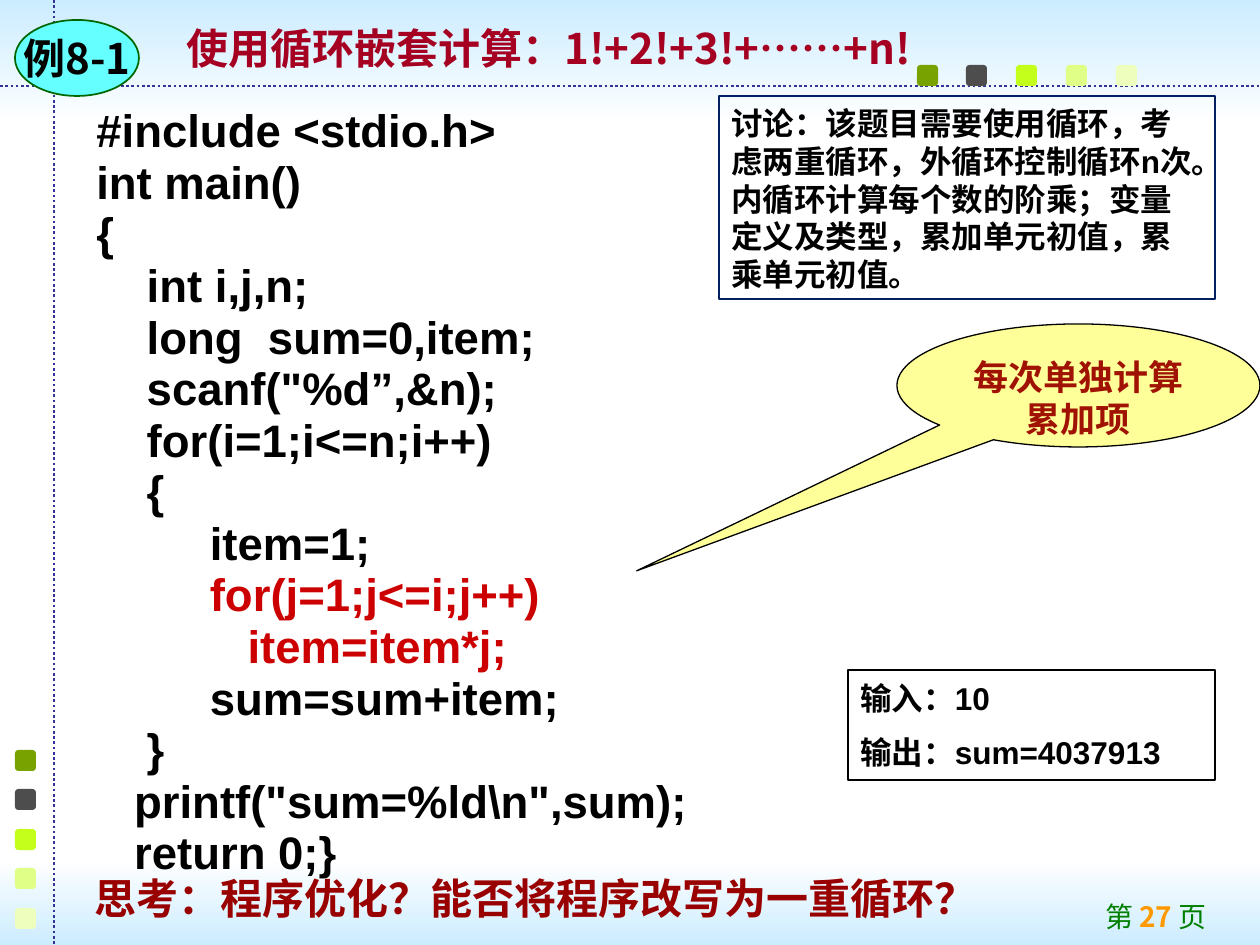
from lxml import etree
from pptx import Presentation
from pptx.dml.color import RGBColor
from pptx.enum.dml import MSO_LINE
from pptx.enum.shapes import MSO_CONNECTOR, MSO_SHAPE
from pptx.enum.text import MSO_ANCHOR, PP_ALIGN
from pptx.oxml.ns import qn
from pptx.util import Emu, Pt

CJK_FONT = "Noto Sans CJK SC"
SQUARE_COLORS = ["78A200", "4D4D4D", "C3FF1B", "E0FF87", "EEFFBD"]
RED = "CC0000"
CODE = [
    ("#include <stdio.h>", None),
    ("int main()", None),
    ("{", None),
    ("    int i,j,n;", None),
    ("    long  sum=0,item;", None),
    ('    scanf("%d”,&n);', None),
    ("    for(i=1;i<=n;i++)", None),
    ("    {", None),
    ("         item=1;", None),
    ("         for(j=1;j<=i;j++)", RED),
    ("            item=item*j;", RED),
    ("         sum=sum+item;", None),
    ("    }", None),
    ('   printf("sum=%ld\\n",sum);', None),
    ("   return 0;}", None),
]


def px(value):
    return Emu(round(value * 914400 / 126))


def color(value):
    return RGBColor.from_string(value)


def set_all(target, values):
    for name, value in values.items():
        setattr(target, name, value)


class SlideBuilder:
    def __init__(self, slide):
        self.slide = slide

    def shape(self, kind, box, fill=None, line=None, width=1):
        shape = self.slide.shapes.add_shape(kind, *map(px, box))
        shape.shadow.inherit = False
        if fill:
            shape.fill.solid()
            shape.fill.fore_color.rgb = color(fill)
        else:
            shape.fill.background()
        if line:
            shape.line.color.rgb = color(line)
            shape.line.width = Pt(width)
        else:
            shape.line.fill.background()
        return shape

    def band(self, box, top, bottom):
        shape = self.shape(MSO_SHAPE.RECTANGLE, box)
        shape.fill.gradient()
        shape.fill.gradient_angle = 270
        for stop, value in zip(shape.fill.gradient_stops, (top, bottom)):
            stop.color.rgb = color(value)

    def dotted_line(self, *ends):
        line = self.slide.shapes.add_connector(MSO_CONNECTOR.STRAIGHT, *map(px, ends))
        set_all(line.line, {"width": Pt(1.5), "dash_style": MSO_LINE.ROUND_DOT})
        line.line.color.rgb = color("333399")
        etree.SubElement(line._element.spPr, qn("a:effectLst"))

    def text_box(self, box, paragraphs, **style):
        shape = self.slide.shapes.add_textbox(*map(px, box))
        self.text(shape, paragraphs, **style)

    def text(self, shape, paragraphs, size, ink="000000", font="Arial", bold=True,
             align=PP_ALIGN.LEFT, spacing=None, before=0, anchor=MSO_ANCHOR.TOP,
             wrap=True, inset_top=6):
        """Fill a shape; each paragraph is a list of (text, format values) runs."""
        frame = shape.text_frame
        set_all(frame, {"word_wrap": wrap, "vertical_anchor": anchor,
                        "margin_top": px(inset_top)})
        for index, runs in enumerate(paragraphs):
            paragraph = frame.paragraphs[0] if index == 0 else frame.add_paragraph()
            set_all(paragraph, {"alignment": align, "line_spacing": spacing,
                                "space_before": Pt(before if index else 0)})
            for content, changes in runs:
                values = {"ink": ink, "bold": bold, **changes}
                run = paragraph.add_run()
                run.text = content
                set_all(run.font, {"name": font, "size": Pt(size),
                                   "bold": values["bold"]})
                run.font.color.rgb = color(values["ink"])
                east_asian = etree.SubElement(run.font._element, qn("a:ea"))
                east_asian.set("typeface", CJK_FONT)


def plain(*lines):
    return [[(line, {})] for line in lines]


def add_background(builder):
    builder.band((0, 0, 1260, 125), "CCECFF", "FFFFFF")
    builder.band((0, 859, 1260, 86), "FFFFFF", "CCECFF")
    builder.dotted_line(0, 86, 1260, 86)
    builder.dotted_line(54, 0, 54, 945)
    for index, fill in enumerate(SQUARE_COLORS):
        for left, top in ((917 + 199 * index // 4, 65), (15, 750 + 158 * index // 4)):
            builder.shape(MSO_SHAPE.ROUNDED_RECTANGLE, (left, top, 21, 21), fill)


def add_content(builder):
    builder.text_box((888, 894, 331, 45),
                     [[("第 ", {}), ("27 ", {"ink": "FF9900", "bold": True}), ("页", {})]],
                     size=16, ink="008000", font=CJK_FONT, bold=False,
                     align=PP_ALIGN.RIGHT)
    builder.text_box((174, 0, 843, 96), plain("使用循环嵌套计算：1!+2!+3!+……+n!"),
                     size=24, ink="A50021", font=CJK_FONT, anchor=MSO_ANCHOR.MIDDLE)
    builder.text_box((84, 109, 1072, 770),
                     [[(line, {"ink": ink} if ink else {})] for line, ink in CODE],
                     size=26, spacing=0.75, before=6.1)

    badge = builder.shape(MSO_SHAPE.OVAL, (15, 20, 124, 76), "66FFFF", "006600")
    builder.text(badge, plain("例8-1"), size=24, font=CJK_FONT,
                 align=PP_ALIGN.CENTER, anchor=MSO_ANCHOR.MIDDLE, wrap=False)

    builder.text_box((59, 867, 953, 63), plain("思考：程序优化？能否将程序改写为一重循环？"),
                     size=24, ink="990000", align=PP_ALIGN.CENTER, spacing=Pt(28.8))

    callout = builder.shape(MSO_SHAPE.OVAL_CALLOUT, (897, 324, 363, 123),
                            "FFFF99", "000000", 0.75)
    callout.adjustments[0] = -1.217
    callout.adjustments[1] = 1.507
    builder.text(callout, plain("每次单独计算累加项"), size=20, ink="A01304",
                 font="Times New Roman", align=PP_ALIGN.CENTER, spacing=Pt(24),
                 inset_top=14)

    result = builder.shape(MSO_SHAPE.RECTANGLE, (848, 670, 367, 110), line="000000")
    builder.text(result, plain("输入：10", "输出：sum=4037913"), size=18,
                 spacing=Pt(21.6), before=9, inset_top=9)

    discussion = builder.shape(MSO_SHAPE.RECTANGLE, (719, 96, 496, 203),
                               line="002060", width=0.75)
    builder.text(discussion, plain(
        "讨论：该题目需要使用循环，考虑两重循环，外循环控制循环n次。内循环计算每个数的阶乘；"
        "变量定义及类型，累加单元初值，累乘单元初值。"),
        size=18, spacing=Pt(21.6), inset_top=8)


def main():
    presentation = Presentation()
    set_all(presentation, {"slide_width": px(1260), "slide_height": px(945)})
    builder = SlideBuilder(presentation.slides.add_slide(presentation.slide_layouts[6]))
    add_background(builder)
    add_content(builder)
    presentation.save("out.pptx")


if __name__ == "__main__":
    main()
